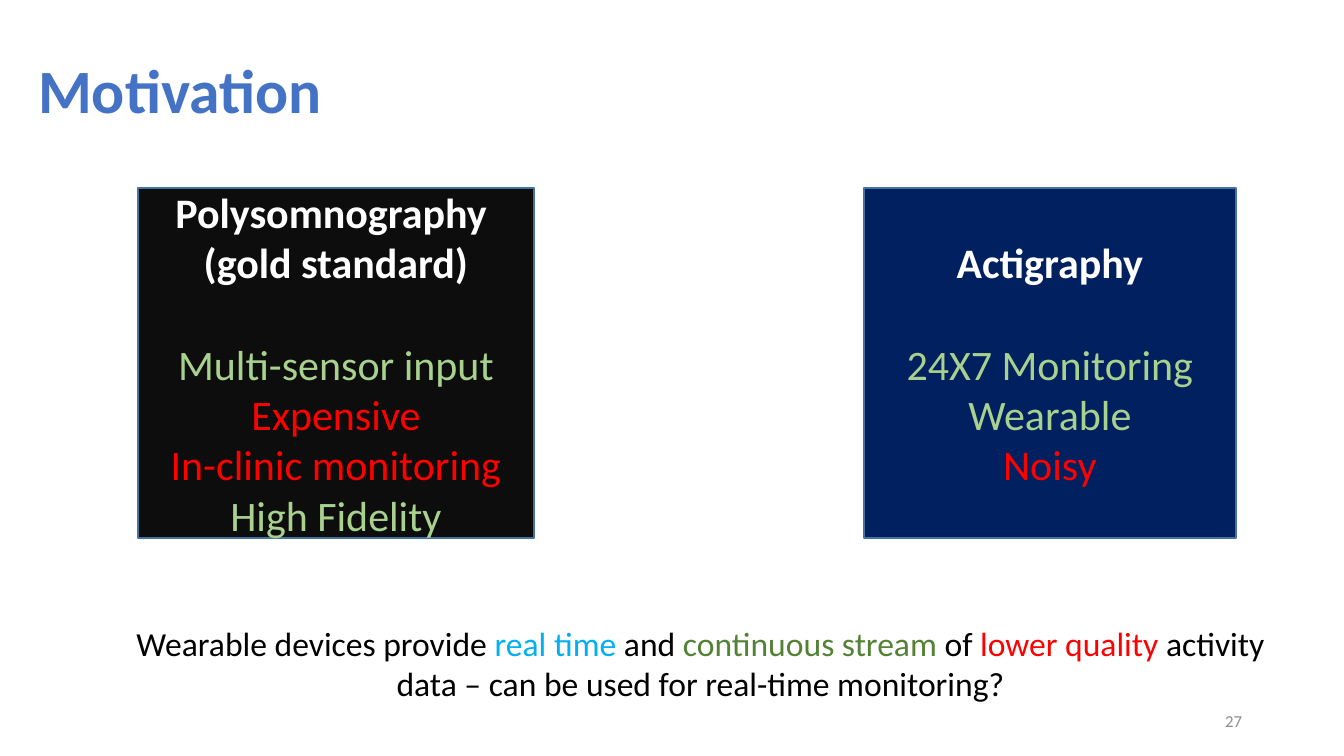
from pptx import Presentation
from pptx.dml.color import RGBColor
from pptx.enum.shapes import MSO_SHAPE
from pptx.enum.text import MSO_ANCHOR, PP_ALIGN
from pptx.util import Pt

RECTANGLE = MSO_SHAPE.RECTANGLE
TOP, MIDDLE = MSO_ANCHOR.TOP, MSO_ANCHOR.MIDDLE
LEFT, CENTER, RIGHT = PP_ALIGN.LEFT, PP_ALIGN.CENTER, PP_ALIGN.RIGHT

COLORS = {
    "title": "4472C4", "black": "000000", "white": "FFFFFF",
    "pro": "A9D18E", "con": "FF0000", "sky": "00B0F0", "green": "548235",
    "gray": "8C8C8C", "charcoal": "0D0D0D", "navy": "002060", "edge": "43739E",
}
FONT = "Calibri"
PAGE_SIZE = (1344, 756)
EMU_PER_PX = 914400 / 100.8

TITLE = ("Motivation", (28, 21, 1159, 146))
CARD_TOP, CARD_HEIGHT = 188, 350
CARD_GAP = Pt(36.6)
CARDS = [
    {"left": 864, "width": 372, "fill": "navy",
     "heading": ["Actigraphy"],
     "features": [("24X7 Monitoring", "pro"), ("Wearable", "pro"), ("Noisy", "con")]},
    {"left": 138, "width": 396, "fill": "charcoal",
     "heading": ["Polysomnography ", "(gold standard)"],
     "features": [("Multi-sensor input", "pro"), ("Expensive", "con"),
                  ("In-clinic monitoring", "con"), ("High Fidelity", "pro")]},
]
QUESTION_AREA = (93, 618, 1215, 92)
QUESTION = [
    ("Wearable devices provide ", "black"), ("real time ", "sky"),
    ("and ", "black"), ("continuous stream ", "green"), ("of ", "black"),
    ("lower quality ", "con"),
    ("activity data – can be used for real-time monitoring?", "black"),
]
NUMBER = ("27", (950, 701, 302, 40))


def emu(*lengths):
    return [round(length * EMU_PER_PX) for length in lengths]


def rgb(name):
    return RGBColor.from_string(COLORS[name])


def write(box, lines, size, align, anchor):
    frame = box.text_frame
    frame.word_wrap = True
    frame.vertical_anchor = anchor
    for index, line in enumerate(lines):
        para = frame.add_paragraph() if index else frame.paragraphs[0]
        for key, value in {"alignment": align, **line.get("layout", {})}.items():
            setattr(para, key, value)
        for text, color in line["spans"]:
            span = para.add_run()
            span.text = text
            style = {"name": FONT, "size": Pt(size), "bold": line.get("bold", False)}
            for key, value in style.items():
                setattr(span.font, key, value)
            span.font.color.rgb = rgb(color)


def add_card(page, card):
    area = emu(card["left"], CARD_TOP, card["width"], CARD_HEIGHT)
    box = page.shapes.add_shape(RECTANGLE, *area)
    box.shadow.inherit = False
    box.fill.solid()
    box.fill.fore_color.rgb = rgb(card["fill"])
    box.line.color.rgb = rgb("edge")
    box.line.width = Pt(1)
    heading = [{"spans": [(text, "white")], "bold": True} for text in card["heading"]]
    features = [{"spans": [feature]} for feature in card["features"]]
    features[0]["layout"] = {"space_before": CARD_GAP}
    write(box, heading + features, 30, CENTER, MIDDLE)


def main():
    deck = Presentation()
    deck.slide_width, deck.slide_height = emu(*PAGE_SIZE)
    page = deck.slides.add_slide(deck.slide_layouts.get_by_name("Title Only"))

    text, area = TITLE
    title = page.shapes.title
    title.left, title.top, title.width, title.height = emu(*area)
    heading = {"spans": [(text, "title")], "bold": True, "layout": {"line_spacing": 0.9}}
    write(title, [heading], 44, LEFT, MIDDLE)

    for card in CARDS:
        add_card(page, card)

    question = page.shapes.add_textbox(*emu(*QUESTION_AREA))
    write(question, [{"spans": QUESTION}], 24, CENTER, TOP)

    text, area = NUMBER
    number = page.shapes.add_textbox(*emu(*area))
    write(number, [{"spans": [(text, "gray")]}], 12, RIGHT, MIDDLE)

    deck.save("out.pptx")


if __name__ == "__main__":
    main()
